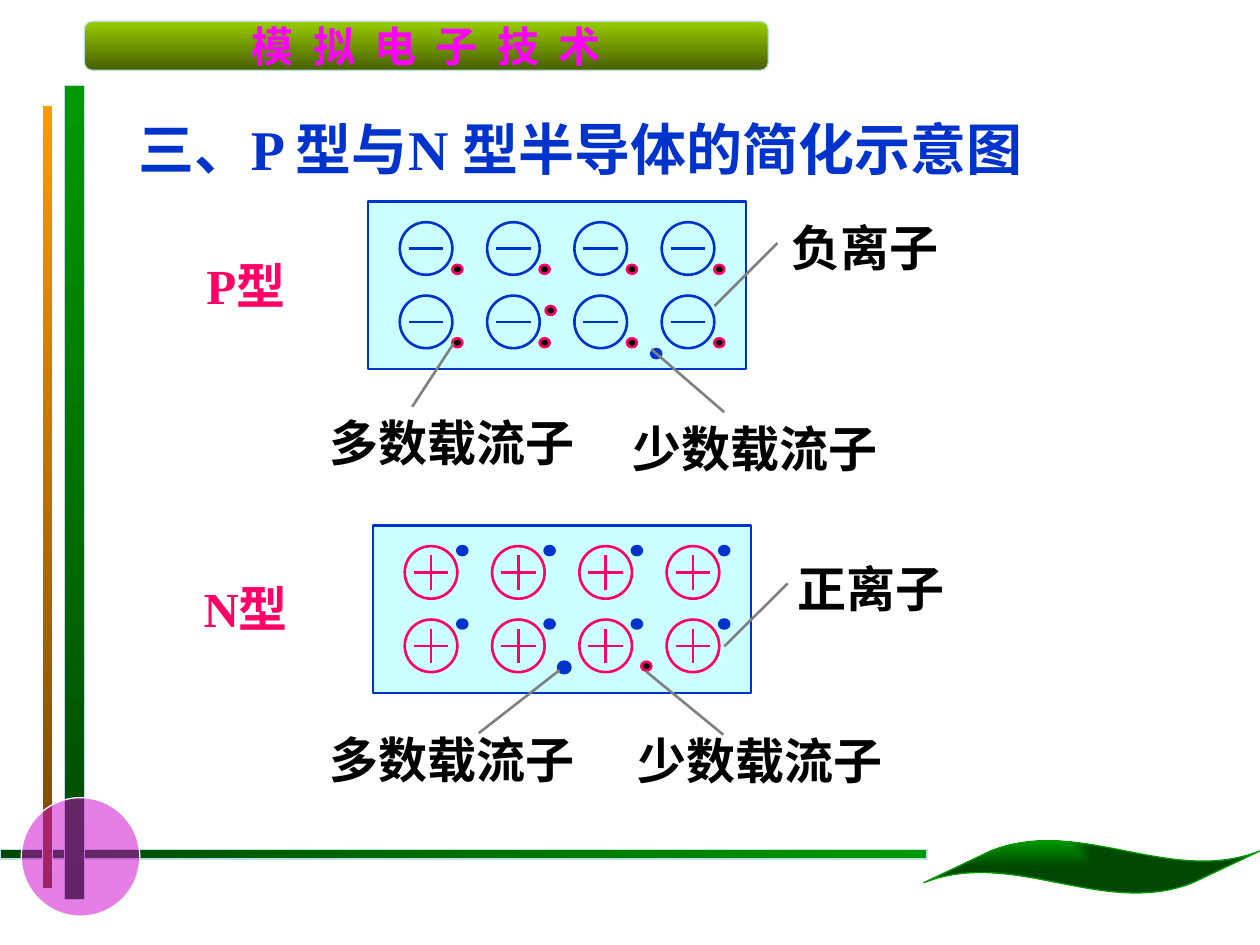
from itertools import product

from lxml import etree
from pptx import Presentation
from pptx.dml.color import RGBColor
from pptx.enum.shapes import MSO_CONNECTOR, MSO_SHAPE
from pptx.enum.text import MSO_ANCHOR, MSO_AUTO_SIZE, PP_ALIGN
from pptx.oxml.ns import qn
from pptx.util import Cm, Pt

WHITE = RGBColor(0xFF, 0xFF, 0xFF)
BLACK = RGBColor(0x00, 0x00, 0x00)
BLUE = RGBColor(0x00, 0x33, 0xCC)
PINK = RGBColor(0xFF, 0x00, 0x66)
GRAY = RGBColor(0x80, 0x80, 0x80)
PALE_CYAN = RGBColor(0xCC, 0xFF, 0xFF)
PALE_TEAL = RGBColor(0xBB, 0xE0, 0xE3)
GREEN = RGBColor(0x00, 0x99, 0x00)
DARK_GREEN = RGBColor(0x00, 0x47, 0x00)
ORANGE = RGBColor(0xFF, 0x99, 0x00)
BROWN = RGBColor(0x76, 0x47, 0x00)
LIME = RGBColor(0x99, 0xCC, 0x00)
OLIVE = RGBColor(0x47, 0x5E, 0x00)
PURPLE = RGBColor(0xCC, 0x00, 0xCC)
MAGENTA = RGBColor(0xFF, 0x00, 0xFF)

DOWN = 270  # gradient angle, counter-clockwise


class Board:
    latin = "Times New Roman"
    chinese = "Noto Sans CJK SC"

    def __init__(self, slide):
        self.slide = slide
        self.shapes = slide.shapes

    def start_group(self):
        self.shapes = self.slide.shapes.add_group_shape().shapes

    def end_group(self):
        self.shapes = self.slide.shapes

    def shape(self, kind, x, y, w, h, fill, line, width=1.5):
        """Fill is None, one colour, or (first colour, last colour, angle)."""
        shape = self.shapes.add_shape(kind, Cm(x), Cm(y), Cm(w), Cm(h))
        shape.shadow.inherit = False
        if fill is None:
            shape.fill.background()
        elif isinstance(fill, RGBColor):
            shape.fill.solid()
            shape.fill.fore_color.rgb = fill
        else:
            *colours, angle = fill
            shape.fill.gradient()
            shape.fill.gradient_angle = angle
            for stop, colour, position in zip(shape.fill.gradient_stops, colours, (0, 1)):
                stop.color.rgb = colour
                stop.position = position
        shape.line.color.rgb = line
        shape.line.width = Pt(width)
        return shape

    def line(self, x1, y1, x2, y2, colour):
        line = self.shapes.add_connector(MSO_CONNECTOR.STRAIGHT, Cm(x1), Cm(y1), Cm(x2), Cm(y2))
        line.line.color.rgb = colour
        line.line.width = Pt(1.5)
        etree.SubElement(line._element.spPr, qn("a:effectLst"))

    def set_text(self, shape, words, size, colour, align, latin=latin):
        frame = shape.text_frame
        frame.auto_size = MSO_AUTO_SIZE.NONE
        frame.word_wrap = True
        paragraph = frame.paragraphs[0]
        paragraph.alignment = align
        run = paragraph.add_run()
        run.text = words
        run.font.size = Pt(size)
        run.font.bold = True
        run.font.name = latin
        run.font.color.rgb = colour
        etree.SubElement(run._r.rPr, qn("a:ea"), typeface=self.chinese)
        return run

    def title(self, words, x, y, w, h):
        title = self.slide.shapes.title
        title.left, title.top, title.width, title.height = Cm(x), Cm(y), Cm(w), Cm(h)
        title.text_frame.vertical_anchor = MSO_ANCHOR.TOP
        self.set_text(title, words, 32, BLUE, PP_ALIGN.LEFT)

    def label(self, words, x, y, w, colour=BLACK, align=PP_ALIGN.LEFT):
        box = self.shapes.add_textbox(Cm(x), Cm(y), Cm(w), Cm(1.45))
        self.set_text(box, words, 28, colour, align)

    def carrier(self, x, y, is_hole, w=0.2, h=0.18):
        fill, line = (BLACK, PINK) if is_hole else (BLUE, BLUE)
        self.shape(MSO_SHAPE.OVAL, x, y, w, h, fill, line)

    def crystal(self, left, top, positive):
        """Box with two rows of four ions, each beside its free carrier."""
        self.shape(MSO_SHAPE.RECTANGLE, left, top, 7.62, 3.38, PALE_CYAN, BLUE)
        colour = PINK if positive else BLUE
        size, arm = 1.06, 0.35
        for row, column in product(range(2), range(4)):
            x, y = left + 0.64 + column * 1.76, top + 0.42 + row * 1.48
            cx, cy = x + size / 2, y + size / 2
            self.shape(MSO_SHAPE.OVAL, x, y, size, size, None, colour)
            self.line(cx - arm, cy, cx + arm, cy, colour)
            if positive:
                self.line(cx, cy - arm, cx, cy + arm, colour)
            self.carrier(x + size, y if positive else y + 0.86, not positive)


deck = Presentation()
deck.slide_width, deck.slide_height = Cm(25.4), Cm(19.05)
board = Board(deck.slides.add_slide(deck.slide_layouts[5]))

# Frame bars and disc
board.shape(MSO_SHAPE.RECTANGLE, 0, 17.12, 18.69, 0.2, (DARK_GREEN, GREEN, 0), PALE_TEAL, 0.75)
board.shape(MSO_SHAPE.RECTANGLE, 1.3, 1.73, 0.4, 16.4, (GREEN, DARK_GREEN, DOWN), PALE_TEAL, 0.75)
board.shape(MSO_SHAPE.RECTANGLE, 0.85, 2.12, 0.2, 15.8, (ORANGE, BROWN, DOWN), WHITE, 0.5)
disc = board.shape(MSO_SHAPE.OVAL, 0.43, 16.08, 2.39, 2.39, PURPLE, WHITE, 0.75)
disc_colour = disc._element.spPr.find(qn("a:solidFill"))[0]
etree.SubElement(disc_colour, qn("a:alpha"), val="50000")

# Course banner
banner = board.shape(MSO_SHAPE.FLOWCHART_ALTERNATE_PROCESS, 1.7, 0.43, 13.79, 0.99,
                     (LIME, OLIVE, DOWN), PALE_TEAL, 0.75)
course = board.set_text(banner, "模 拟 电 子 技 术", 24, MAGENTA, PP_ALIGN.CENTER, Board.chinese)
course._r.rPr.set("spc", "280")
banner.text_frame.word_wrap = False
banner.text_frame.vertical_anchor = MSO_ANCHOR.MIDDLE

# Leaf, shaded from its top left corner
leaf = board.shape(MSO_SHAPE.WAVE, 18.62, 16.94, 6.78, 1.07, (GREEN, DARK_GREEN, 0), GREEN, 0.75)
leaf.adjustments[0], leaf.adjustments[1] = 0.206, -0.1
gradient = leaf._element.spPr.find(qn("a:gradFill"))
linear = gradient.find(qn("a:lin"))
path = etree.Element(qn("a:path"), path="rect")
etree.SubElement(path, qn("a:fillToRect"), r="100000", b="100000")
gradient.replace(linear, path)

board.title("三、P 型与N 型半导体的简化示意图", 2.54, 2.18, 20.17, 1.6)

# P-type crystal with one extra hole and one electron
board.start_group()
board.crystal(7.42, 4.06, positive=False)
board.carrier(11, 6.17, is_hole=True)
board.carrier(13.13, 7.04, is_hole=False)

# N-type crystal with one hole and one larger electron
board.start_group()
board.crystal(7.52, 10.59, positive=True)
board.carrier(12.93, 13.34, is_hole=True)
board.carrier(11.25, 13.34, is_hole=False, w=0.25, h=0.23)
board.end_group()

# Leader lines and their labels
CALLOUTS = [
    ("负离子", (15.44, 4.27, 4.01), (14.4, 6.17, 15.67, 4.9), PP_ALIGN.CENTER),
    ("多数载流子", (6.4, 8.2, 6.15), (9.14, 6.93, 8.31, 8.2), PP_ALIGN.LEFT),
    ("少数载流子", (12.5, 8.31, 5.51), (13.13, 7.04, 14.6, 8.31), PP_ALIGN.LEFT),
    ("正离子", (15.65, 11.13, 3.81), (14.6, 13.03, 15.88, 11.76), PP_ALIGN.CENTER),
    ("多数载流子", (6.4, 14.58, 5.46), (11.28, 13.51, 9.65, 14.78), PP_ALIGN.LEFT),
    ("少数载流子", (12.6, 14.6, 5.72), (13.03, 13.54, 14.58, 14.81), PP_ALIGN.LEFT),
]
for words, place, leader, align in CALLOUTS:
    board.line(*leader, GRAY)
    board.label(words, *place, align=align)

# Type names
for words, y in (("P型", 5.03), ("N型", 11.53)):
    board.label(words, 3.61, y, 2.69, PINK, PP_ALIGN.CENTER)

deck.save("out.pptx")
